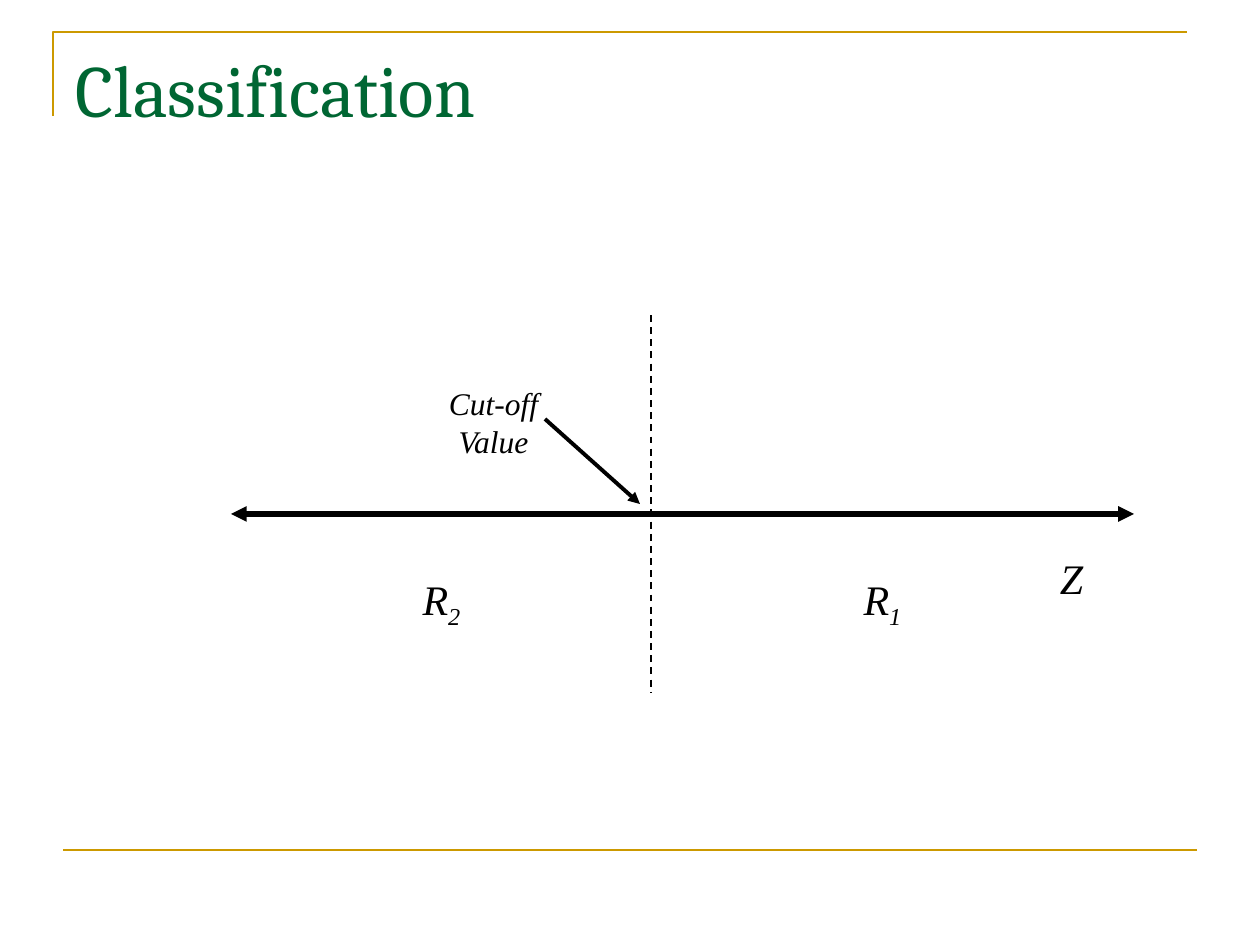
import pptx
import pptx.dml.color
import pptx.enum.dml
import pptx.enum.shapes
import pptx.enum.text
import pptx.oxml.ns
import pptx.util
from lxml import etree

PX = 914400 / 126
GOLD = pptx.dml.color.RGBColor(0xCC, 0x99, 0x00)
GREEN = pptx.dml.color.RGBColor(0x00, 0x66, 0x33)
BLACK = pptx.dml.color.RGBColor(0x00, 0x00, 0x00)

# Content: lengths in px
TITLE = ("Classification", (63, 38, 1134, 157))
FRAME_CORNER = [(53, 116), (53, 32), (1187, 32)]
LINES = [  # start, end, format
    ((63, 850), (1197, 850), dict(color=GOLD, width=1.5)),  # footer rule
    ((231, 514), (1134, 514), dict(width=3, arrows=("headEnd", "tailEnd"))),  # Z axis
    ((651, 315), (651, 693), dict(width=1, dashed=True)),  # cut-off
    ((545, 419), (640, 504), dict(width=2.25, arrows=("tailEnd",))),  # pointer
]
LABEL_WIDTH = 147
LABELS = [  # text, subscript, left, top, height, size
    ("Z", "", 998, 546, 63, 24),
    ("Cut-off Value", "", 420, 378, 88, 18),
    ("R", "2", 368, 567, 63, 24),
    ("R", "1", 809, 567, 63, 24),
]


def emu(pixels):
    return pptx.util.Emu(round(pixels * PX))


def add_text(slide, text, box, *, font, size, color, italic=False,
             subscript="", centered=False, space_before=None):
    shape = slide.shapes.add_textbox(*map(emu, box))
    shape.text_frame.word_wrap = True
    paragraph = shape.text_frame.paragraphs[0]
    if centered:
        paragraph.alignment = pptx.enum.text.PP_ALIGN.CENTER
    if space_before:
        spacing = etree.SubElement(paragraph._p.get_or_add_pPr(),
                                   pptx.oxml.ns.qn("a:spcBef"))
        etree.SubElement(spacing, pptx.oxml.ns.qn("a:spcPct"),
                         val=str(space_before * 1000))
    for part, baseline in ((text, 0), (subscript, -25)):
        if not part:
            continue
        run = paragraph.add_run()
        run.text = part
        run.font.name = font
        run.font.size = pptx.util.Pt(size)
        run.font.italic = italic
        run.font.color.rgb = color
        if baseline:
            run.font._element.set("baseline", str(baseline * 1000))


def add_line(slide, start, end, *, width, color=BLACK, dashed=False, arrows=()):
    connector = slide.shapes.add_connector(
        pptx.enum.shapes.MSO_CONNECTOR.STRAIGHT, *map(emu, start + end))
    connector.line.color.rgb = color
    connector.line.width = pptx.util.Pt(width)
    if dashed:
        connector.line.dash_style = pptx.enum.dml.MSO_LINE.DASH
    for arrow in arrows:
        etree.SubElement(connector.line._get_or_add_ln(),
                         pptx.oxml.ns.qn("a:" + arrow), type="triangle")
    etree.SubElement(connector._element.spPr, pptx.oxml.ns.qn("a:effectLst"))


def add_frame_corner(slide, points):
    builder = slide.shapes.build_freeform(*points[0], scale=PX)
    builder.add_line_segments(points[1:], close=False)
    shape = builder.convert_to_shape()
    shape.shadow.inherit = False
    shape.fill.background()
    shape.line.color.rgb = GOLD
    shape.line.width = pptx.util.Pt(1.5)


def main():
    presentation = pptx.Presentation()
    presentation.slide_width = emu(1260)
    presentation.slide_height = emu(945)
    slide = presentation.slides.add_slide(presentation.slide_layouts[6])

    # Frame and title
    add_frame_corner(slide, FRAME_CORNER)
    add_text(slide, *TITLE, font="Cambria", size=42, color=GREEN)

    # Axis, cut-off and pointer
    for start, end, line_format in LINES:
        add_line(slide, start, end, **line_format)

    # Labels
    for text, subscript, left, top, height, size in LABELS:
        add_text(slide, text, (left, top, LABEL_WIDTH, height),
                 font="Times New Roman", size=size, color=BLACK, italic=True,
                 subscript=subscript, centered=True, space_before=50)

    presentation.save("out.pptx")


if __name__ == "__main__":
    main()
